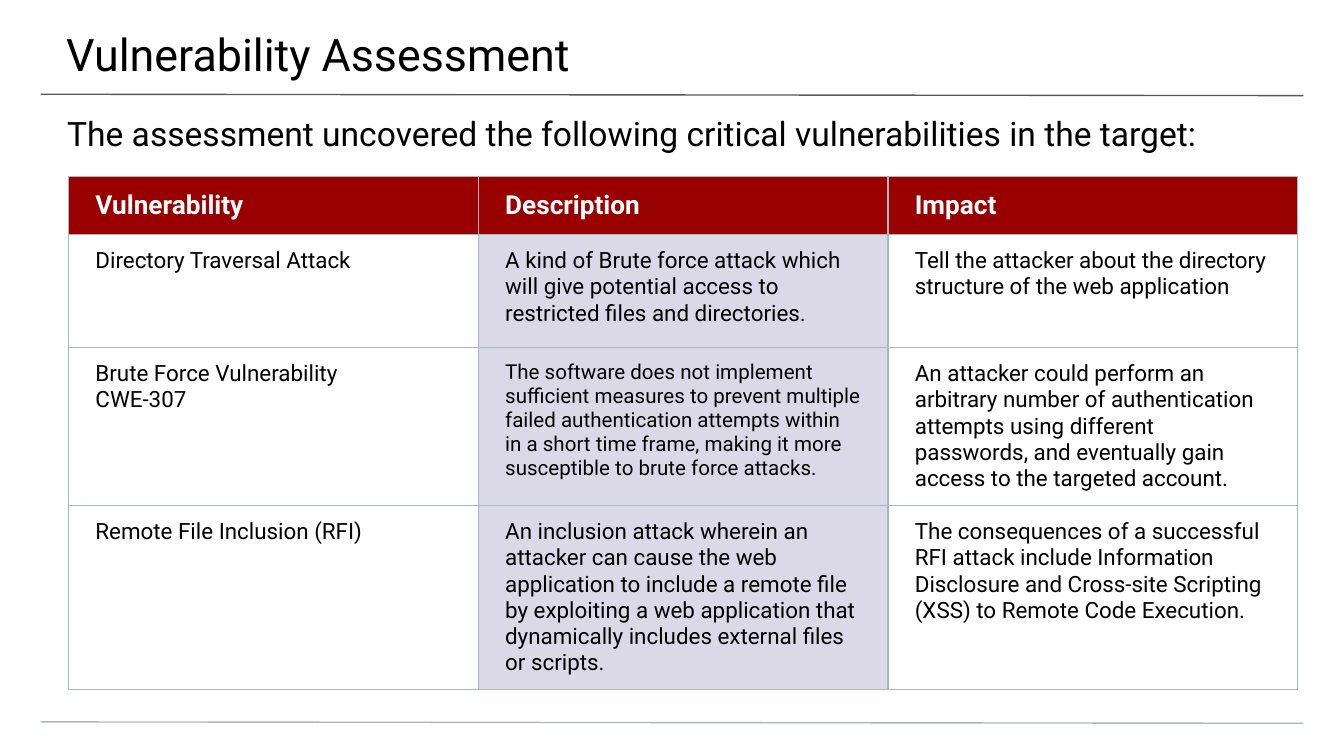
from lxml.etree import SubElement
from pptx import Presentation
from pptx.dml.color import RGBColor
from pptx.enum.shapes import MSO_CONNECTOR
from pptx.enum.text import MSO_ANCHOR, MSO_AUTO_SIZE, PP_ALIGN
from pptx.oxml.ns import qn
from pptx.util import Pt

BLACK = RGBColor(0x00, 0x00, 0x00)
WHITE = RGBColor(0xFF, 0xFF, 0xFF)
RED = RGBColor(0x99, 0x00, 0x00)
LAVENDER = RGBColor(0xDB, 0xD9, 0xE8)
DARK_GRAY = RGBColor(0x59, 0x59, 0x59)
BLUE_GRAY = RGBColor(0xA9, 0xB7, 0xC0)

HEADERS = ["Vulnerability", "Description", "Impact"]
VULNERABILITIES = [
    ["Directory Traversal Attack",
     "A kind of Brute force attack which will give potential access to "
     "restricted files and directories.",
     "Tell the attacker about the directory structure of the web application"],
    ["Brute Force Vulnerability\nCWE-307",
     "The software does not implement sufficient measures to prevent multiple "
     "failed authentication attempts within in a short time frame, making it "
     "more susceptible to brute force attacks.",
     "An attacker could perform an arbitrary number of authentication attempts "
     "using different passwords, and eventually gain access to the targeted account."],
    ["Remote File Inclusion (RFI)",
     "An inclusion attack wherein an attacker can cause the web application to "
     "include a remote file by exploiting a web application that dynamically "
     "includes external files or scripts.",
     "The consequences of a successful RFI attack include Information Disclosure "
     "and Cross-site Scripting (XSS) to Remote Code Execution."],
]


def write(frame, text, size, color=BLACK, bold=False):
    """Fill a text frame with one left-aligned paragraph per line of text."""
    frame.word_wrap = True
    for i, line in enumerate(text.split("\n")):
        paragraph = frame.add_paragraph() if i else frame.paragraphs[0]
        paragraph.alignment = PP_ALIGN.LEFT
        run = paragraph.add_run()
        run.text = line
        run.font.name = "Roboto"
        run.font.size = Pt(size)
        run.font.bold = bold
        run.font.color.rgb = color


def add_borders(cell):
    properties = cell._tc.get_or_add_tcPr()
    for position, side in enumerate(("lnL", "lnR", "lnT", "lnB")):
        border = SubElement(properties, qn(f"a:{side}"), w=str(Pt(0.75)))
        fill = SubElement(border, qn("a:solidFill"))
        SubElement(fill, qn("a:srgbClr"), val=str(BLUE_GRAY))
        properties.insert(position, border)


prs = Presentation()
prs.slide_width, prs.slide_height = Pt(720), Pt(405)
slide = prs.slides.add_slide(prs.slide_layouts[5])

for y, color in ((50.5, DARK_GRAY), (386.75, BLUE_GRAY)):
    rule = slide.shapes.add_connector(
        MSO_CONNECTOR.STRAIGHT, Pt(21.75), Pt(y), Pt(698.25), Pt(y + 0.75))
    rule.line.color.rgb = color
    rule.line.width = Pt(0.75)
    SubElement(rule._element.spPr, qn("a:effectLst"))

title = slide.shapes.title
title.left, title.top, title.width, title.height = Pt(-0.5), Pt(0), Pt(722), Pt(42)
subtitle = slide.shapes.add_textbox(Pt(0), Pt(53.5), Pt(720), Pt(28.5))
for heading, text, size, right, top, bottom in (
    (title, "Vulnerability Assessment", 24, 21.6, 14.4, 7.2),
    (subtitle, "The assessment uncovered the following critical "
               "vulnerabilities in the target:", 18, 36, 7.2, 0),
):
    frame = heading.text_frame
    frame.margin_left, frame.margin_right = Pt(36), Pt(right)
    frame.margin_top, frame.margin_bottom = Pt(top), Pt(bottom)
    frame.vertical_anchor = MSO_ANCHOR.TOP
    frame.auto_size = MSO_AUTO_SIZE.NONE
    write(frame, text, size)

rows = [HEADERS] + VULNERABILITIES
table = slide.shapes.add_table(
    len(rows), len(HEADERS), Pt(36.75), Pt(94.6), Pt(658.5), Pt(212.5)).table
table.first_row = table.horz_banding = False
for column in table.columns:
    column.width = Pt(219.5)

for r, row in enumerate(rows):
    is_header = r == 0
    table.rows[r].height = Pt(31 if is_header else 60.5)
    for c, text in enumerate(row):
        cell = table.cell(r, c)
        cell.margin_left = cell.margin_right = Pt(14.4)
        cell.margin_top = cell.margin_bottom = Pt(7.2)
        if is_header or HEADERS[c] == "Description":
            cell.fill.solid()
            cell.fill.fore_color.rgb = RED if is_header else LAVENDER
        else:
            cell.fill.background()
        add_borders(cell)
        if is_header:
            cell.vertical_anchor = MSO_ANCHOR.MIDDLE
            write(cell.text_frame, text, 14, WHITE, bold=True)
        else:
            cell.vertical_anchor = MSO_ANCHOR.TOP
            write(cell.text_frame, text, 11 if (r, c) == (2, 1) else 12)

prs.save("out.pptx")
